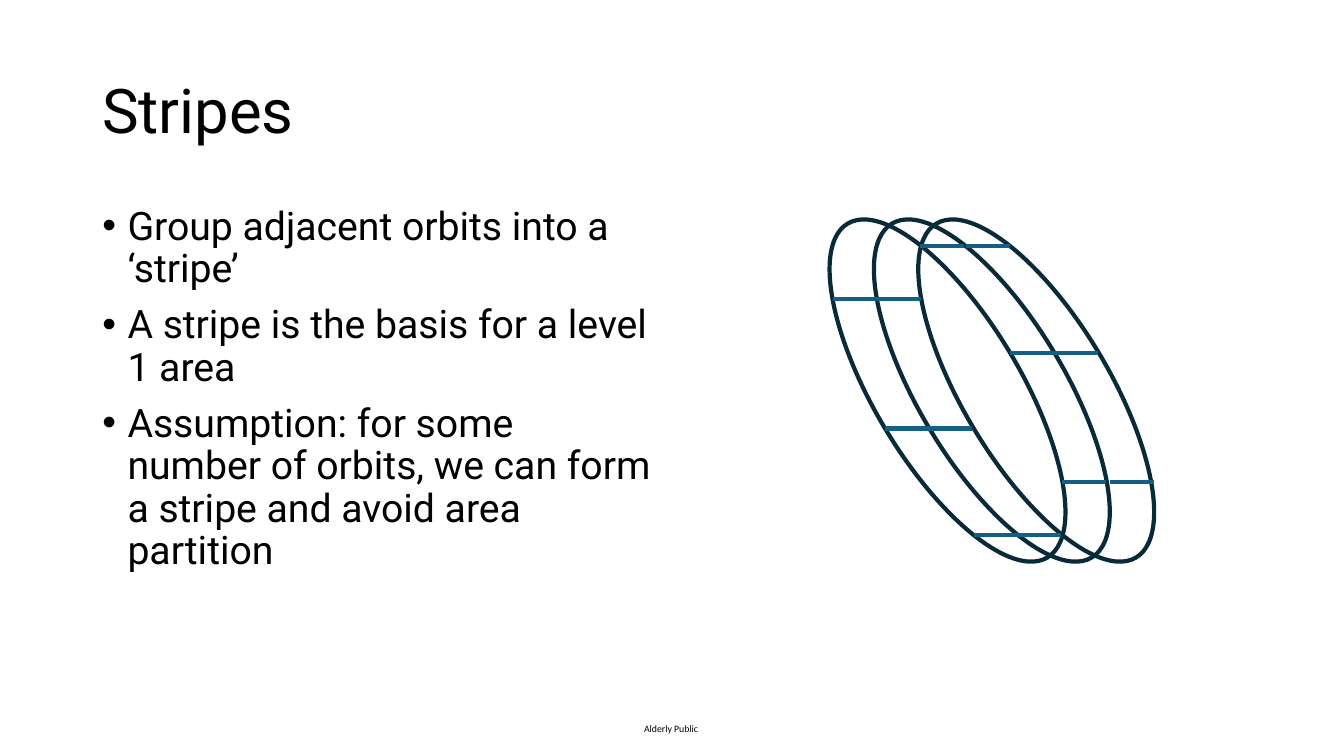
"""Build the slide on grouping adjacent orbits into stripes."""
from dataclasses import dataclass

from lxml.etree import SubElement
from pptx import Presentation
from pptx.dml.color import RGBColor
from pptx.enum.shapes import MSO_CONNECTOR as Connector, MSO_SHAPE as Preset
from pptx.enum.text import MSO_ANCHOR as Anchor, MSO_AUTO_SIZE as AutoSize
from pptx.oxml.ns import qn
from pptx.slide import Slide
from pptx.util import Pt

BLACK, ORBIT_COLOR, LINK_COLOR = "000000", "092A39", "156082"
LINE_WIDTH = 3
ORBIT_COUNT, ORBIT_STEP = 3, 31.68
ORBIT_LEFT, ORBIT_TOP, ORBIT_WIDTH, ORBIT_HEIGHT = 537.84, 226.8, 277.92, 104.4
ORBIT_TILT = 59.1
LINK_LENGTH = 31.4
BULLET_INDENT = 18


@dataclass
class TextBlock:
    left: float
    top: float
    width: float
    height: float
    lines: list[str]
    size: float
    font: str = "Roboto"
    spacing: float = 0.9
    before: float = 0
    anchor: Anchor = Anchor.TOP
    bullets: bool = False
    tight: bool = False


@dataclass
class LinkPair:
    first: float
    second: float
    top: float


TEXT_BLOCKS = [
    TextBlock(460.1, 516.4, 41, 8.6, ["Alderly Public"], 7, "Calibri", 1, tight=True),
    TextBlock(66, 28.8, 828, 104.4, ["Stripes"], 44, anchor=Anchor.MIDDLE),
    TextBlock(66, 143.75, 408, 342.6, [
        "Group adjacent orbits into a ‘stripe’",
        "A stripe is the basis for a level 1 area",
        "Assumption: for some number of orbits, we can form a stripe and avoid area partition",
    ], 28, before=10, bullets=True),
]

LINK_PAIRS = [
    LinkPair(632.2, 663.1, 306),
    LinkPair(594.7, 626.4, 213.8),
    LinkPair(695.5, 726.5, 382.3),
    LinkPair(657.4, 689.8, 175.6),
    LinkPair(721.4, 753.1, 252),
    LinkPair(758.9, 792.7, 344.5),
]


def color(value: str) -> RGBColor:
    return RGBColor.from_string(value)


def add_text(page: Slide, block: TextBlock) -> None:
    box = page.shapes.add_textbox(
        Pt(block.left), Pt(block.top), Pt(block.width), Pt(block.height))
    frame = box.text_frame
    frame.word_wrap = not block.tight
    frame.auto_size = AutoSize.SHAPE_TO_FIT_TEXT if block.tight else AutoSize.NONE
    frame.vertical_anchor = block.anchor
    if block.tight:
        frame.margin_left = frame.margin_right = Pt(0)
        frame.margin_top = frame.margin_bottom = Pt(0)
    for index, line in enumerate(block.lines):
        para = frame.add_paragraph() if index else frame.paragraphs[0]
        para.line_spacing = block.spacing
        para.space_before = Pt(block.before)
        if block.bullets:
            settings = para._p.get_or_add_pPr()
            settings.set("marL", str(Pt(BULLET_INDENT)))
            settings.set("indent", str(-Pt(BULLET_INDENT)))
            SubElement(settings, qn("a:buFont"), typeface="Arial")
            SubElement(settings, qn("a:buChar"), char="•")
        span = para.add_run()
        span.text = line
        span.font.name = block.font
        span.font.size = Pt(block.size)
        span.font.color.rgb = color(BLACK)


def add_orbit(page: Slide, left: float) -> None:
    orbit = page.shapes.add_shape(
        Preset.OVAL, Pt(left), Pt(ORBIT_TOP), Pt(ORBIT_WIDTH), Pt(ORBIT_HEIGHT))
    orbit.rotation = ORBIT_TILT
    orbit.shadow.inherit = False
    orbit.fill.background()
    orbit.line.color.rgb = color(ORBIT_COLOR)
    orbit.line.width = Pt(LINE_WIDTH)


def add_link(page: Slide, left: float, top: float) -> None:
    link = page.shapes.add_connector(
        Connector.STRAIGHT, Pt(left), Pt(top), Pt(left + LINK_LENGTH), Pt(top))
    link.line.color.rgb = color(LINK_COLOR)
    link.line.width = Pt(LINE_WIDTH)
    SubElement(link._element.spPr, qn("a:effectLst"))


def main() -> None:
    deck = Presentation()
    deck.slide_width, deck.slide_height = Pt(960), Pt(540)
    page = deck.slides.add_slide(deck.slide_layouts[6])
    for block in TEXT_BLOCKS:
        add_text(page, block)
    for index in range(ORBIT_COUNT):
        add_orbit(page, ORBIT_LEFT + index * ORBIT_STEP)
    for pair in LINK_PAIRS:
        for left in (pair.first, pair.second):
            add_link(page, left, pair.top)
    deck.save("out.pptx")


if __name__ == "__main__":
    main()
